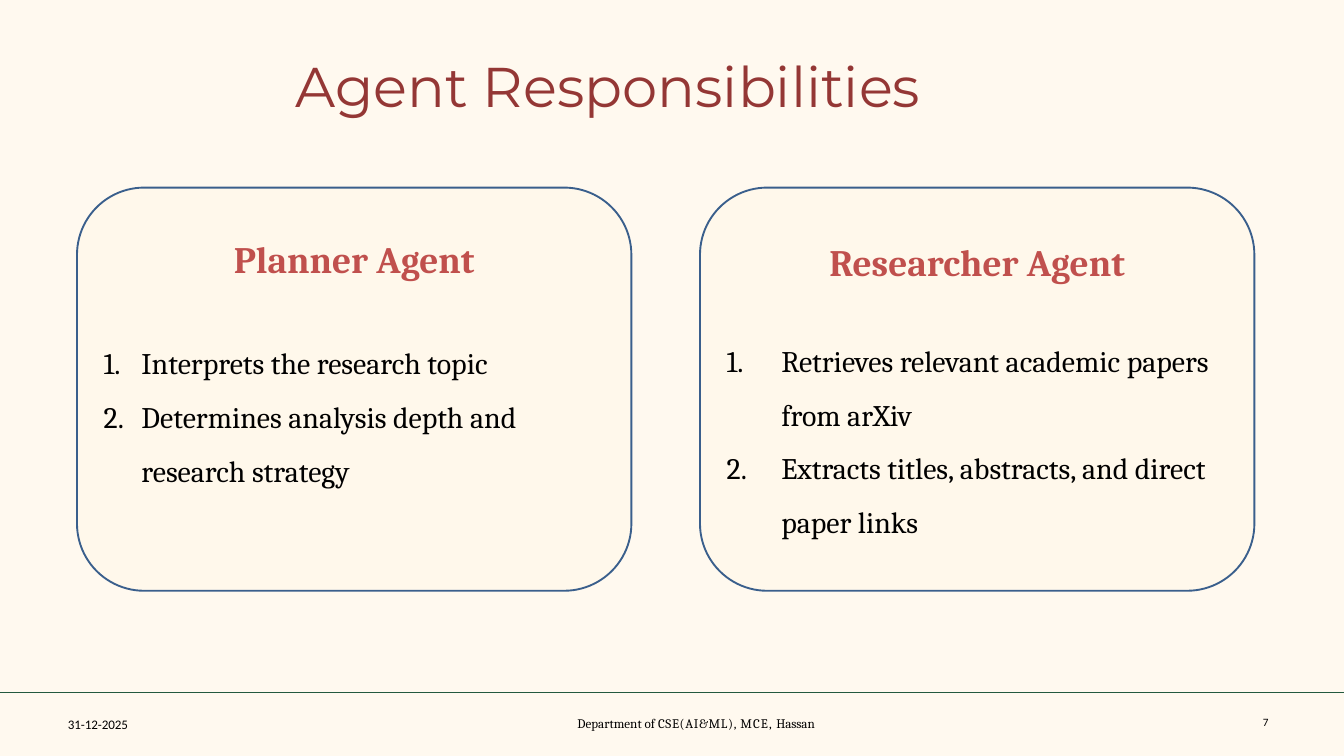
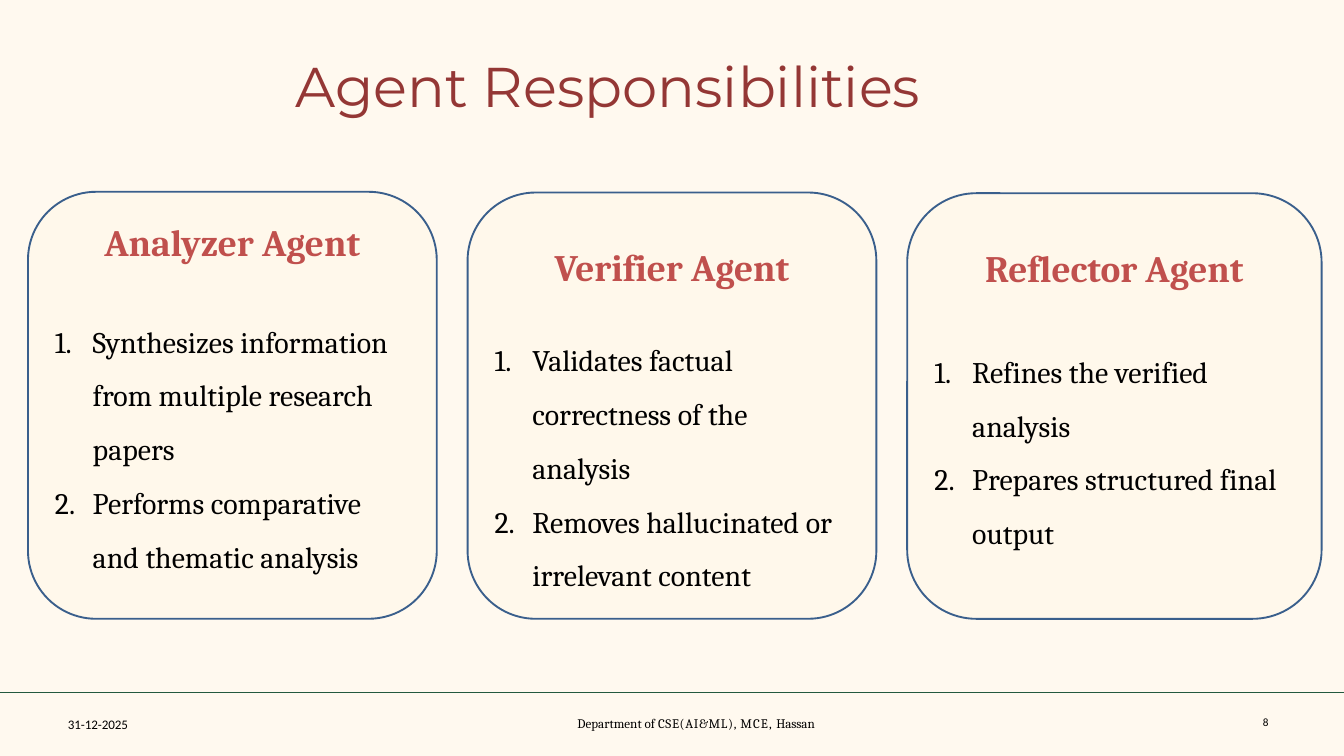
from dataclasses import dataclass

from lxml import etree
from pptx import Presentation
from pptx import util as u
from pptx.dml.color import RGBColor
from pptx.enum import shapes, text
from pptx.oxml import ns

EMU_PER_PX = 9525
SLIDE_W, SLIDE_H = 1920, 1080
TITLE_ONLY = 5
CARD_BOTTOM_ROW = 884


@dataclass(frozen=True)
class Theme:
    paper: str = "FFF9EF"
    card: str = "FFF8EB"
    outline: str = "3A5F8C"
    title: str = "943735"
    heading: str = "C0504D"
    ink: str = "000000"
    rule: str = "23593E"
    title_font: str = "Montserrat"
    serif: str = "Cambria"
    sans: str = "Calibri"
    title_size: int = 60
    heading_size: int = 40
    duty_size: int = 32
    footer_size: int = 14
    number_size: int = 12


THEME = Theme()


@dataclass(frozen=True)
class Agent:
    name: str
    duties: tuple
    top: int
    width: int
    height: int
    inset: int
    gap: int
    indent: int = 54


PLANNING = (
    Agent("Planner Agent",
          ("Interprets the research topic",
           "Determines analysis depth and research strategy"),
          268, 792, 576, 42, 49),
    Agent("Researcher Agent",
          ("Retrieves relevant academic papers from arXiv",
           "Extracts titles, abstracts, and direct paper links"),
          268, 792, 576, 45, 44, 78),
)
REVIEW = (
    Agent("Analyzer Agent",
          ("Synthesizes information from multiple research papers",
           "Performs comparative and thematic analysis"),
          274, 584, 610, 11, 44),
    Agent("Verifier Agent",
          ("Validates factual correctness of the analysis",
           "Removes hallucinated or irrelevant content"),
          275, 584, 609, 46, 37),
    Agent("Reflector Agent",
          ("Refines the verified analysis",
           "Prepares structured final output"),
          276, 592, 608, 45, 49),
)


def px(length):
    return u.Emu(length * EMU_PER_PX)


def rgb(code):
    return RGBColor.from_string(code)


def set_font(paragraph, family, size, color, bold=False):
    font = paragraph.font
    font.name, font.size, font.bold = family, u.Pt(size), bold
    font.color.rgb = rgb(color)


def set_frame(frame, left=1, top=2, right=0, bottom=0):
    frame.word_wrap = True
    frame.auto_size = text.MSO_AUTO_SIZE.NONE
    frame.vertical_anchor = text.MSO_ANCHOR.TOP
    frame.margin_left, frame.margin_top = px(left), px(top)
    frame.margin_right, frame.margin_bottom = px(right), px(bottom)


def number_paragraph(paragraph, indent):
    props = paragraph._p.get_or_add_pPr()
    props.set("marL", str(px(indent)))
    props.set("indent", str(-px(indent)))
    etree.SubElement(props, ns.qn("a:buAutoNum"), type="arabicPeriod")


def add_title(slide, wording):
    title = slide.shapes.title
    title.left, title.top = px(421), px(71)
    title.width, title.height = px(1077), px(99)
    set_frame(title.text_frame)
    paragraph = title.text_frame.paragraphs[0]
    paragraph.text = wording
    paragraph.alignment = text.PP_ALIGN.LEFT
    set_font(paragraph, THEME.title_font, THEME.title_size, THEME.title)


def add_footer_text(slide, box, spaced_runs, family, size):
    label = slide.shapes.add_textbox(*map(px, box))
    set_frame(label.text_frame)
    paragraph = label.text_frame.paragraphs[0]
    for wording, spacing in spaced_runs:
        run = paragraph.add_run()
        run.text = wording
        if spacing:
            run._r.get_or_add_rPr().set("spc", str(spacing))
    set_font(paragraph, family, size, THEME.ink)


def add_footer(slide, number):
    rule = slide.shapes.add_connector(
        shapes.MSO_CONNECTOR.STRAIGHT, 0, px(989), px(SLIDE_W), px(989))
    rule.line.color.rgb = rgb(THEME.rule)
    rule.line.width = u.Pt(0.75)
    etree.SubElement(rule._element.spPr, ns.qn("a:effectLst"))
    add_footer_text(slide, (96, 1021, 91, 23),
                    (("31-12-", -10), ("2025", -20)),
                    THEME.sans, THEME.footer_size)
    add_footer_text(slide, (824, 1020, 361, 23),
                    (("Department of ", 0), ("CSE(AI&ML), ", 70),
                     ("MCE, ", 110), ("Hassan", -10)),
                    THEME.serif, THEME.footer_size)
    add_footer_text(slide, (1803, 1020, 23, 20), ((str(number), -20),),
                    THEME.sans, THEME.number_size)


def add_agent_card(slide, agent, left):
    card = slide.shapes.add_shape(
        shapes.MSO_SHAPE.ROUNDED_RECTANGLE,
        *map(px, (left, agent.top, agent.width, agent.height)))
    card.shadow.inherit = False
    card.fill.solid()
    card.fill.fore_color.rgb = rgb(THEME.card)
    card.line.color.rgb = rgb(THEME.outline)
    card.line.width = u.Pt(2)

    frame = card.text_frame
    set_frame(frame, left=10, top=agent.inset, right=10)
    heading = frame.paragraphs[0]
    heading.text = agent.name
    heading.alignment = text.PP_ALIGN.CENTER
    set_font(heading, THEME.serif, THEME.heading_size, THEME.heading, bold=True)

    for position, duty in enumerate(agent.duties):
        item = frame.add_paragraph()
        item.text = duty
        number_paragraph(item, agent.indent)
        item.alignment = text.PP_ALIGN.LEFT
        item.line_spacing = 1.5
        item.space_before = u.Pt(0 if position else agent.gap)
        set_font(item, THEME.serif, THEME.duty_size, THEME.ink)


def add_agents_slide(deck, number, agents, left, pitch):
    slide = deck.slides.add_slide(deck.slide_layouts[TITLE_ONLY])
    add_title(slide, "Agent Responsibilities")
    add_footer(slide, number)
    for column, agent in enumerate(agents):
        add_agent_card(slide, agent, left + column * pitch)


def main():
    deck = Presentation()
    deck.slide_width, deck.slide_height = px(SLIDE_W), px(SLIDE_H)
    paper = deck.slide_master.background.fill
    paper.solid()
    paper.fore_color.rgb = rgb(THEME.paper)
    add_agents_slide(deck, 7, PLANNING, left=110, pitch=890)
    add_agents_slide(deck, 8, REVIEW, left=40, pitch=628)
    deck.save("out.pptx")


if __name__ == "__main__":
    main()
